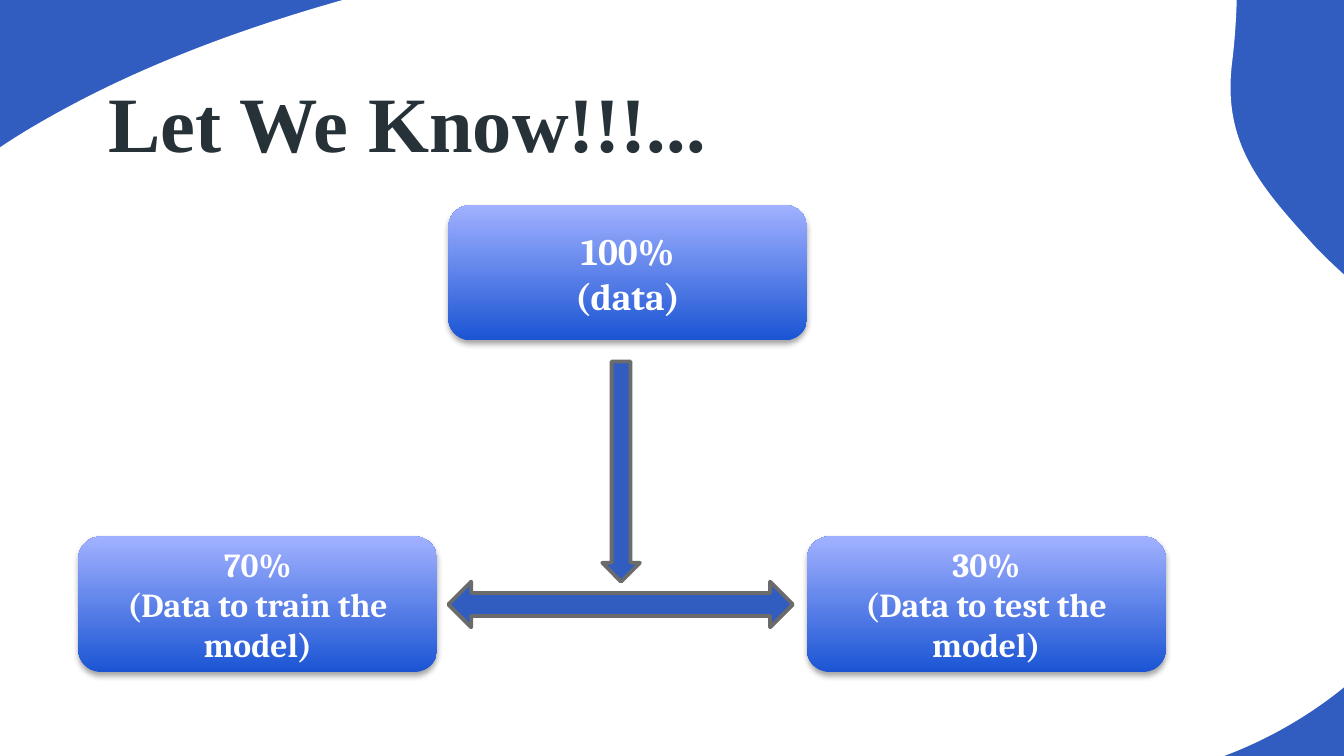
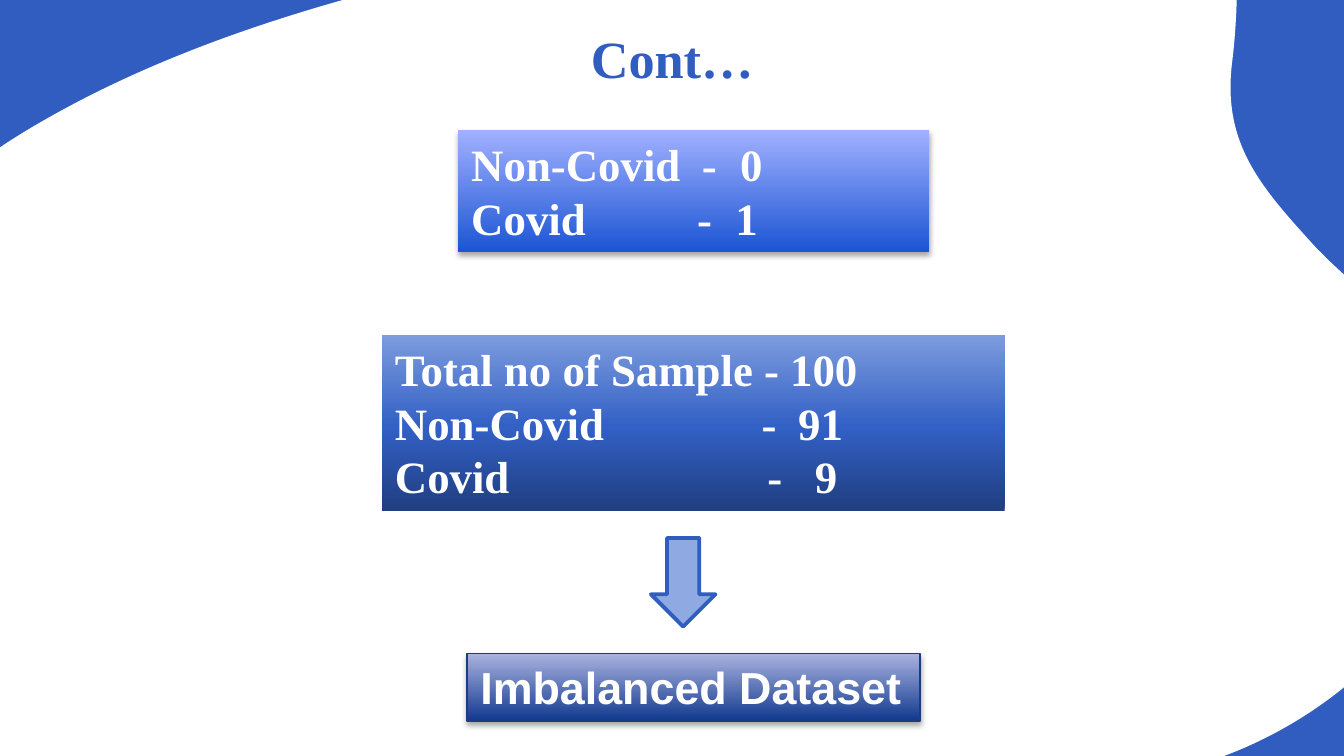
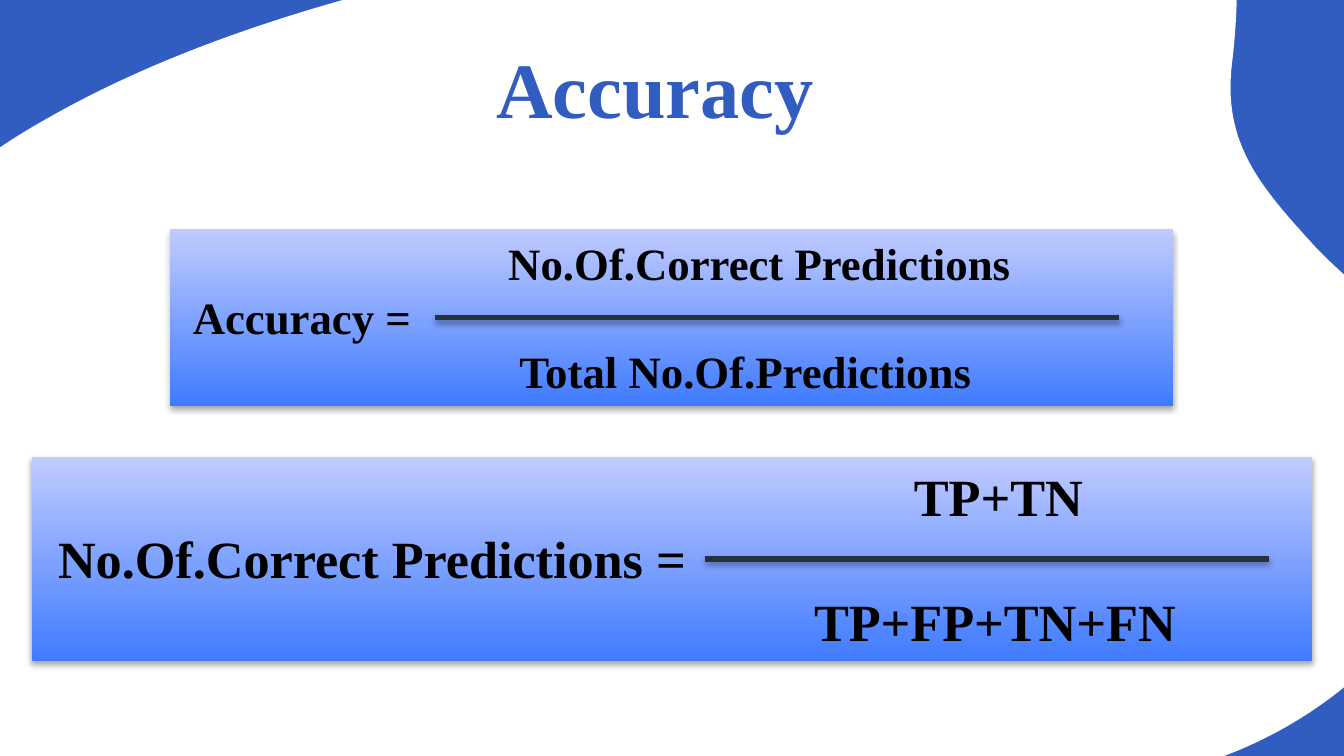
import lxml.etree
import pptx
import pptx.dml.color
import pptx.enum.shapes
import pptx.enum.text
import pptx.oxml.ns
import pptx.util

Pt = pptx.util.Pt
RGB = pptx.dml.color.RGBColor.from_string
SHAPE = pptx.enum.shapes.MSO_SHAPE
ALIGN = pptx.enum.text.PP_ALIGN
ANCHOR = pptx.enum.text.MSO_ANCHOR
qn = pptx.oxml.ns.qn
SubElement = lxml.etree.SubElement

COLORS = {
    "blue": "305DBF", "white": "FFFFFF", "black": "000000", "ink": "263238",
    "gray": "6B6B6B", "pale": "8FA9E3", "navy": "1D3C80",
}
GRADIENTS = {
    "royal": [(0, "1B55D4"), (100, "A1B1FF")],
    "steel": [(0, "203E80"), (48, "3260C5"), (100, "7D9CDE")],
    "indigo": [(0, "12398E"), (100, "AAB3E0")],
    "sky": [(0, "407BFF"), (100, "C0CBFF")],
}
SERIF = "Times New Roman"


def add_shadow(effects):
    shadow = SubElement(effects, qn("a:outerShdw"), blurRad=str(Pt(3.1)), dist=str(Pt(1.8)),
                        dir="5400000", rotWithShape="0")
    color = SubElement(shadow, qn("a:srgbClr"), val=COLORS["black"])
    SubElement(color, qn("a:alpha"), val="35000")


def add_card(slide, kind, place, gradient, lines, size, face=SERIF, color="white",
             align=ALIGN.LEFT, anchor=ANCHOR.TOP, shadow=True):
    card = slide.shapes.add_shape(kind, *map(Pt, place))
    card.fill.gradient()
    card.fill.gradient_angle = 90
    stops = card.element.spPr.find(qn("a:gradFill")).find(qn("a:gsLst"))
    for stop in list(stops):
        stops.remove(stop)
    for position, shade in GRADIENTS[gradient]:
        stop = SubElement(stops, qn("a:gs"), pos=str(position * 1000))
        SubElement(stop, qn("a:srgbClr"), val=shade)
    card.line.fill.background()
    card.shadow.inherit = False
    if shadow:
        add_shadow(card.element.spPr.find(qn("a:effectLst")))
    frame = card.text_frame
    frame.word_wrap = True
    frame.vertical_anchor = anchor
    frame.text = "\n".join(lines)
    for paragraph in frame.paragraphs:
        paragraph.alignment = align
        paragraph.font.name = face
        paragraph.font.size = Pt(size)
        paragraph.font.bold = True
        paragraph.font.color.rgb = RGB(COLORS[color])
    return card


deck = pptx.Presentation()
deck.slide_width, deck.slide_height = Pt(720), Pt(405)
master = deck.slide_master
master.background.fill.solid()
master.background.fill.fore_color.rgb = RGB(COLORS["blue"])

slides = []
for title, place, inset, size, color, align in [
    ("Let We Know!!!...", (51, 36, 741, 61), 3.6, 42, "ink", ALIGN.LEFT),
    ("Cont…", (60, 7, 600, 50), 7.2, 28, "blue", ALIGN.CENTER),
    ("Accuracy", (82.5, 18, 537, 63), 3.6, 42, "blue", ALIGN.CENTER),
]:
    slide = deck.slides.add_slide(deck.slide_layouts[5])
    heading = slide.shapes.title
    heading.left, heading.top, heading.width, heading.height = map(Pt, place)
    frame = heading.text_frame
    frame.text = title
    frame.auto_size = pptx.enum.text.MSO_AUTO_SIZE.NONE
    frame.vertical_anchor = ANCHOR.TOP
    frame.margin_top = frame.margin_bottom = Pt(inset)
    paragraph = frame.paragraphs[0]
    paragraph.alignment = align
    paragraph.font.name = SERIF
    paragraph.font.size = Pt(size)
    paragraph.font.bold = True
    paragraph.font.color.rgb = RGB(COLORS[color])
    slides.append(slide)
split_slide, sample_slide, accuracy_slide = slides

curves = [
    (7.71, -2.59, 7.26, -2.64, 6.68, -2.54), (5.75, -2.38, 5.05, -1.64, 4.55, -0.91),
    (4.12, -0.28, 3.31, -0.19, 2.66, -0.03), (1.86, 0.19, 1.05, 0.48, 0.32, 0.9),
    (-1.19, 1.76, -1.59, 2.91, -1.47, 4.36), (-1.43, 4.79, -1.34, 5.48, -0.56, 6.26),
    (-0.26, 6.55, 0.07, 6.77, 0.42, 6.92), (1.33, 7.29, 2.43, 7.22, 3.67, 6.8),
    (4.07, 6.67, 4.44, 6.48, 4.82, 6.33), (5.22, 6.16, 5.65, 6.05, 6.08, 5.99),
    (7.07, 5.85, 8.12, 5.98, 9.07, 5.64), (9.57, 5.46, 10.03, 5.15, 10.38, 4.75),
    (10.82, 4.24, 10.95, 3.56, 10.7, 2.94), (10.46, 2.36, 10.12, 2.19, 9.78, 1.83),
    (9.37, 1.38, 9.09, 1.06, 9.17, 0.45), (9.26, -0.31, 9.26, -1.94, 8.06, -2.44),
]
corners = [(Pt(72 * curve[4]), Pt(72 * curve[5])) for curve in curves]
builder = split_slide.shapes.build_freeform(*corners[-1])
builder.add_line_segments(corners, close=True)
blob = builder.convert_to_shape()
for side, curve in zip(list(blob.element.iter(qn("a:lnTo"))), curves):
    bend = lxml.etree.Element(qn("a:cubicBezTo"))
    for x, y in zip(curve[::2], curve[1::2]):
        SubElement(bend, qn("a:pt"), x=str(Pt(72 * x) - blob.left), y=str(Pt(72 * y) - blob.top))
    side.getparent().replace(side, bend)
blob.fill.solid()
blob.fill.fore_color.rgb = RGB(COLORS["white"])
blob.line.fill.background()
blob.shadow.inherit = False
master.shapes.element.insert(2, blob.element)

for left, top, size, lines in [
    (240.2, 109.8, 20, ["100%", "(data)"]),
    (42, 287.4, 18, ["70%", "(Data to train the model)"]),
    (432.3, 287.4, 18, ["30%", "(Data to test the model)"]),
]:
    add_card(split_slide, SHAPE.ROUNDED_RECTANGLE, (left, top, 192.2, 72.6), "royal", lines, size,
             face="Cambria", align=ALIGN.CENTER, anchor=ANCHOR.MIDDLE)

labels = add_card(sample_slide, SHAPE.RECTANGLE, (245.4, 69.7, 252.5, 65.4), "royal",
                  ["Non-Covid\t-\t0", "Covid\t-\t1"], 24)
totals = add_card(sample_slide, SHAPE.RECTANGLE, (204.5, 179.5, 333.7, 94.4), "steel",
                  ["Total no of Sample - 100", "Non-Covid\t-\t91", "Covid\t-\t9"], 24,
                  shadow=False)
for card, stops in [
    (labels, [(123.5, 144), (121, 141.5)]),
    (totals, [(), (196.5, 216), (199.5, 225)]),
]:
    for paragraph, positions in zip(card.text_frame.paragraphs, stops):
        if positions:
            tabs = lxml.etree.Element(qn("a:tabLst"))
            for position in positions:
                SubElement(tabs, qn("a:tab"), pos=str(Pt(position)), algn="l")
            paragraph._p.pPr.find(qn("a:defRPr")).addprevious(tabs)
verdict = add_card(sample_slide, SHAPE.RECTANGLE, (250.3, 350, 242.6, 36.2), "indigo",
                   ["Imbalanced Dataset"], 24, face="Arial")
verdict.line.color.rgb = RGB(COLORS["navy"])
verdict.line.width = Pt(0.75)

for slide, kind, place, fill, edge in [
    (split_slide, SHAPE.LEFT_RIGHT_ARROW, (240.2, 311.6, 184.6, 24.5), "blue", "gray"),
    (split_slide, SHAPE.DOWN_ARROW, (322.6, 193.6, 20.2, 118), "blue", "gray"),
    (sample_slide, SHAPE.DOWN_ARROW, (348.7, 288.2, 34.6, 47.5), "pale", "blue"),
]:
    arrow = slide.shapes.add_shape(kind, *map(Pt, place))
    arrow.fill.solid()
    arrow.fill.fore_color.rgb = RGB(COLORS[fill])
    arrow.line.color.rgb = RGB(COLORS[edge])
    arrow.line.width = Pt(2)
    arrow.shadow.inherit = False

for place, size, lines, indents in [
    ((91.2, 122.9, 537.3, 94.5), 24,
     ["No.Of.Correct Predictions", "Accuracy =", "Total No.Of.Predictions"], (174, 5, 180)),
    ((17, 245, 686, 109), 28,
     ["TP+TN", "No.Of.Correct Predictions =", "TP+FP+TN+FN"], (465.5, 7, 412)),
]:
    formula = add_card(accuracy_slide, SHAPE.RECTANGLE, place, "sky", lines, size, color="black")
    for paragraph, indent in zip(formula.text_frame.paragraphs, indents):
        paragraph._p.get_or_add_pPr().set("marL", str(Pt(indent)))

for left, right, height in [(233, 599.3, 170), (377.8, 680, 299.5)]:
    bar = accuracy_slide.shapes.add_connector(
        pptx.enum.shapes.MSO_CONNECTOR.STRAIGHT, Pt(left), Pt(height), Pt(right), Pt(height))
    bar.line.color.rgb = RGB(COLORS["ink"])
    bar.line.width = Pt(3)
    add_shadow(SubElement(bar.element.spPr, qn("a:effectLst")))

deck.save("out.pptx")
